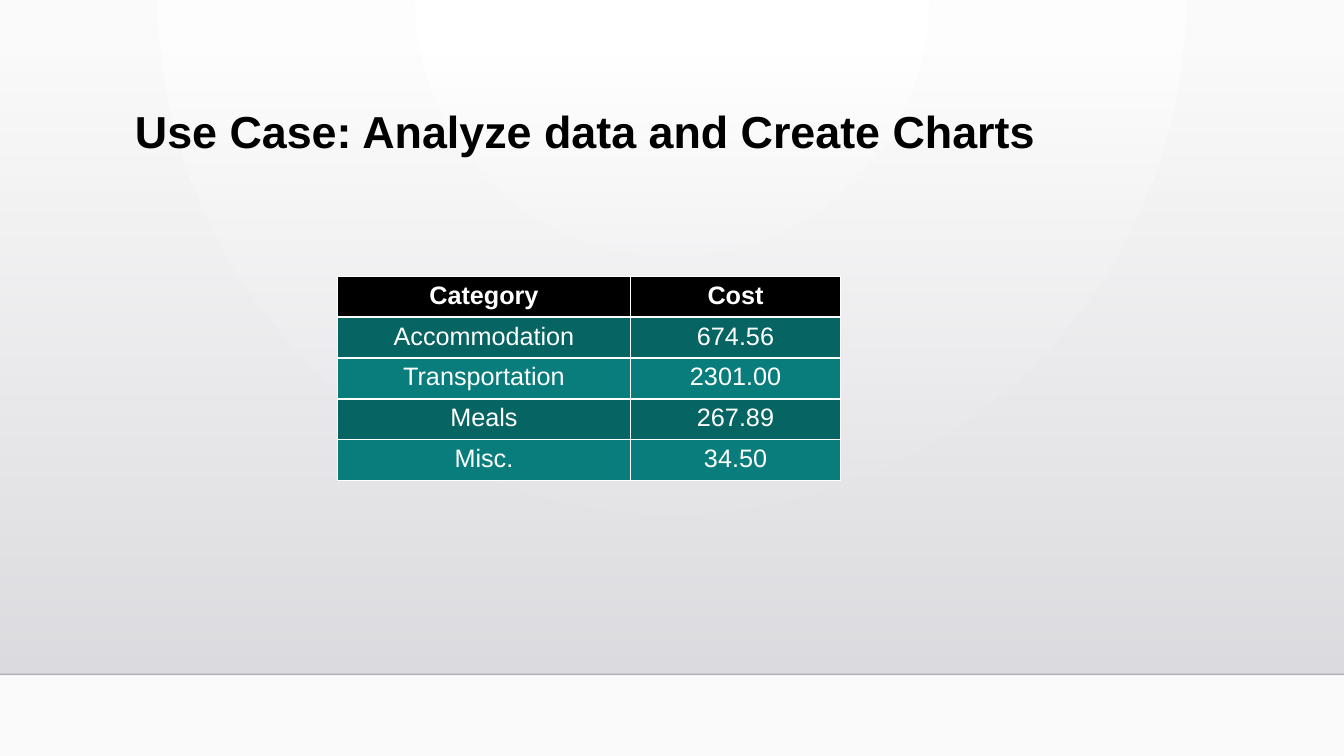
from pptx import Presentation
from pptx.dml.color import RGBColor
from pptx.enum.shapes import MSO_CONNECTOR, MSO_SHAPE
from pptx.enum.text import MSO_ANCHOR, PP_ALIGN
from pptx.oxml import parse_xml
from pptx.oxml.ns import nsdecls, qn
from pptx.util import Inches, Pt

LINE = MSO_CONNECTOR.STRAIGHT
RECT = MSO_SHAPE.RECTANGLE
TOP = MSO_ANCHOR.TOP
MID = PP_ALIGN.CENTER

BLACK = RGBColor(0, 0, 0)
WHITE = RGBColor(255, 255, 255)
PALE = RGBColor(0xFA, 0xFA, 0xFA)
MIST = RGBColor(0xDC, 0xDC, 0xE0)
GREY = RGBColor(0xDE, 0xDE, 0xE2)
DARK = RGBColor(0x06, 0x64, 0x63)
TEAL = RGBColor(0x08, 0x7D, 0x7C)

HEAD = {"name": "Arial", "size": Pt(32), "bold": True}
CELL = {"name": "Arial", "size": Pt(18)}
COSTS = [
    ("Category", "Cost"),
    ("Accommodation", "674.56"),
    ("Transportation", "2301.00"),
    ("Meals", "267.89"),
    ("Misc.", "34.50"),
]
RADIAL = '<a:path path="circle"><a:fillToRect l="43000" r="43000" b="100000"/></a:path>'
DOWN = '<a:lin ang="5400000" scaled="0"/>'


def style(font, color, form):
    for key, value in form.items():
        setattr(font, key, value)
    font.color.rgb = color


def blend(fill, root, stops, shade):
    fill.gradient()
    old = root.find(".//" + qn("a:gradFill"))
    marks = "".join(
        f'<a:gs pos="{pos}"><a:srgbClr val="{color}"><a:alpha val="{alpha}"/></a:srgbClr></a:gs>'
        for pos, color, alpha in stops)
    new = parse_xml(f'<a:gradFill {nsdecls("a")} rotWithShape="1">'
                    f'<a:gsLst>{marks}</a:gsLst>{shade}</a:gradFill>')
    old.getparent().replace(old, new)


def add_floor(slide, left, top, width, height):
    blend(slide.background.fill, slide.element,
          [(0, WHITE, 100000), (100000, PALE, 100000)], RADIAL)
    haze = slide.shapes.add_shape(
        RECT, Inches(left), Inches(top), Inches(width), Inches(height))
    haze.shadow.inherit = False
    haze.line.fill.background()
    blend(haze.fill, haze.element, [(0, MIST, 0), (100000, GREY, 100000)], DOWN)
    base = Inches(top + height)
    edge = slide.shapes.add_connector(
        LINE, Inches(left), base, Inches(left + width), base)
    edge.line.width = Pt(1)
    edge.line.color.rgb = BLACK
    tint = edge.element.find(".//" + qn("a:srgbClr"))
    tint.append(parse_xml(f'<a:alpha {nsdecls("a")} val="20000"/>'))
    edge.element.spPr.append(parse_xml(f'<a:effectLst {nsdecls("a")}/>'))


def add_title(slide, text, left, top, width, height):
    box = slide.shapes.add_textbox(
        Inches(left), Inches(top), Inches(width), Inches(height))
    frame = box.text_frame
    frame.word_wrap = True
    frame.vertical_anchor = TOP
    line = frame.paragraphs[0]
    line.text = text
    line.line_spacing = 0.9
    style(line.font, BLACK, HEAD)


def rule_off(cell):
    props = cell._tc.get_or_add_tcPr()
    props.insert(0, parse_xml(
        f'<a:lnB {nsdecls("a")} w="{Pt(2)}"><a:solidFill>'
        f'<a:srgbClr val="{WHITE}"/></a:solidFill></a:lnB>'))


def add_costs(slide, rows, left, top, widths, height):
    table = slide.shapes.add_table(
        len(rows), len(widths), Inches(left), Inches(top),
        Inches(sum(widths)), Inches(height)).table
    for col, width in zip(table.columns, widths):
        col.width = Inches(width)
    for r, row in enumerate(rows):
        for c, text in enumerate(row):
            cell = table.cell(r, c)
            cell.fill.solid()
            cell.fill.fore_color.rgb = (TEAL, DARK)[r % 2] if r else BLACK
            line = cell.text_frame.paragraphs[0]
            line.text = text
            line.alignment = MID
            style(line.font, WHITE, {**CELL, "bold": r == 0})
            if r == 0:
                rule_off(cell)


def main():
    deck = Presentation()
    deck.slide_width = Inches(13.33)
    deck.slide_height = Inches(7.5)
    slide = deck.slides.add_slide(deck.slide_layouts[6])
    add_floor(slide, 0, 0.51, 13.33, 6.18)
    add_title(slide, "Use Case: Analyze data and Create Charts",
              1.24, 1.04, 10.5, 1.15)
    add_costs(slide, COSTS, 3.35, 2.74, (2.9, 2.09), 2.03)
    deck.save("out.pptx")


if __name__ == "__main__":
    main()
